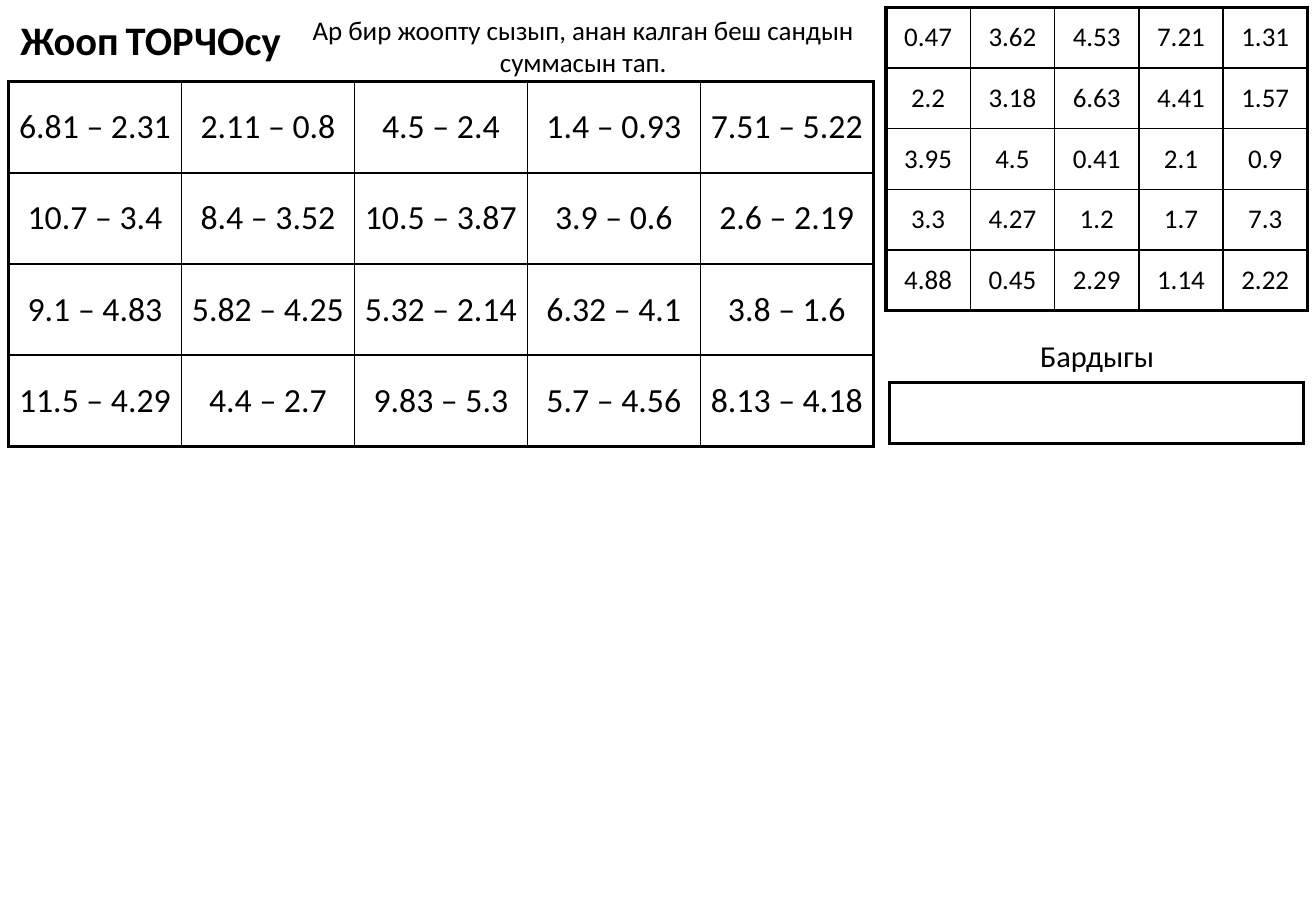
import lxml.etree
import pptx
import pptx.dml.color
import pptx.enum.text
import pptx.oxml.ns
import pptx.util

Cm = pptx.util.Cm
Pt = pptx.util.Pt
PP_ALIGN = pptx.enum.text.PP_ALIGN

COLORS = {"ink": "000000", "paper": "FFFFFF"}
THIN, THICK = 1, 2.25

ANSWERS = [
    ["0.47", "3.62", "4.53", "7.21", "1.31"],
    ["2.2", "3.18", "6.63", "4.41", "1.57"],
    ["3.95", "4.5", "0.41", "2.1", "0.9"],
    ["3.3", "4.27", "1.2", "1.7", "7.3"],
    ["4.88", "0.45", "2.29", "1.14", "2.22"],
]
SUBTRACTIONS = [
    ["6.81 – 2.31", "2.11 – 0.8", "4.5 – 2.4", "1.4 – 0.93", "7.51 – 5.22"],
    ["10.7 – 3.4", "8.4 – 3.52", "10.5 – 3.87", "3.9 – 0.6", "2.6 – 2.19"],
    ["9.1 – 4.83", "5.82 – 4.25", "5.32 – 2.14", "6.32 – 4.1", "3.8 – 1.6"],
    ["11.5 – 4.29", "4.4 – 2.7", "9.83 – 5.3", "5.7 – 4.56", "8.13 – 4.18"],
]


class Worksheet:
    def __init__(self, slide, font="Calibri"):
        self.slide = slide
        self.font = font

    def color(self, name):
        return pptx.dml.color.RGBColor.from_string(COLORS[name])

    def add_run(self, paragraph, words, size, bold=False):
        run = paragraph.add_run()
        run.text = words
        run.font.name = self.font
        run.font.size = Pt(size)
        run.font.bold = bold
        run.font.color.rgb = self.color("ink")

    def text(self, left, top, width, height, runs, align=PP_ALIGN.CENTER, bold=False):
        """Add a text box from (words, size) runs."""
        box = self.slide.shapes.add_textbox(Cm(left), Cm(top), Cm(width), Cm(height))
        frame = box.text_frame
        frame.word_wrap = True
        frame.auto_size = pptx.enum.text.MSO_AUTO_SIZE.SHAPE_TO_FIT_TEXT
        paragraph = frame.paragraphs[0]
        paragraph.alignment = align
        for words, size in runs:
            self.add_run(paragraph, words, size, bold)

    def border(self, cell, widths):
        """Draw the cell's left, right, top and bottom lines, in that order."""
        properties = cell._tc.get_or_add_tcPr()
        qn = pptx.oxml.ns.qn
        for place, (side, width) in enumerate(zip("LRTB", widths)):
            line = lxml.etree.Element(qn(f"a:ln{side}"), w=str(Pt(width)))
            fill = lxml.etree.SubElement(line, qn("a:solidFill"))
            lxml.etree.SubElement(fill, qn("a:srgbClr"), val=COLORS["ink"])
            properties.insert(place, line)

    def grid(self, left, top, width, height, rows, size, side_margin=0.25):
        """Add a table of equal cells with a thick outline and thin inner lines."""
        row_count, column_count = len(rows), len(rows[0])
        table = self.slide.shapes.add_table(
            row_count, column_count, Cm(left), Cm(top), Cm(width), Cm(height)).table
        table.first_row = table.horz_banding = False
        for r, row in enumerate(rows):
            for c, words in enumerate(row):
                cell = table.cell(r, c)
                cell.fill.solid()
                cell.fill.fore_color.rgb = self.color("paper")
                cell.vertical_anchor = pptx.enum.text.MSO_ANCHOR.MIDDLE
                cell.margin_left = cell.margin_right = Cm(side_margin)
                outer = (c == 0, c == column_count - 1, r == 0, r == row_count - 1)
                self.border(cell, [THICK if edge else THIN for edge in outer])
                if words:
                    paragraph = cell.text_frame.paragraphs[0]
                    paragraph.alignment = PP_ALIGN.CENTER
                    self.add_run(paragraph, words, size)


def main():
    presentation = pptx.Presentation()
    presentation.slide_width = Cm(27.51)
    presentation.slide_height = Cm(19.05)
    sheet = Worksheet(presentation.slides.add_slide(presentation.slide_layouts[6]))

    sheet.grid(18.52, 0.15, 8.81, 6.35, ANSWERS, 16)
    sheet.grid(0.18, 1.71, 18.08, 7.62, SUBTRACTIONS, 20, side_margin=0.13)
    sheet.grid(18.59, 8, 8.66, 1.27, [[""]], 18)
    sheet.text(18.72, 6.93, 8.43, 1.02, [("Бардыгы", 18)])
    sheet.text(5.77, 0.15, 12.85, 1.63,
               [("Ар бир жоопту сызып, анан калган беш сандын суммасын тап.", 16)])
    sheet.text(0.18, 0.2, 6.35, 1.27, [("Жооп", 24), (" ", 18), ("ТОРЧОсу", 24)],
               align=PP_ALIGN.LEFT, bold=True)

    presentation.save("out.pptx")


if __name__ == "__main__":
    main()
